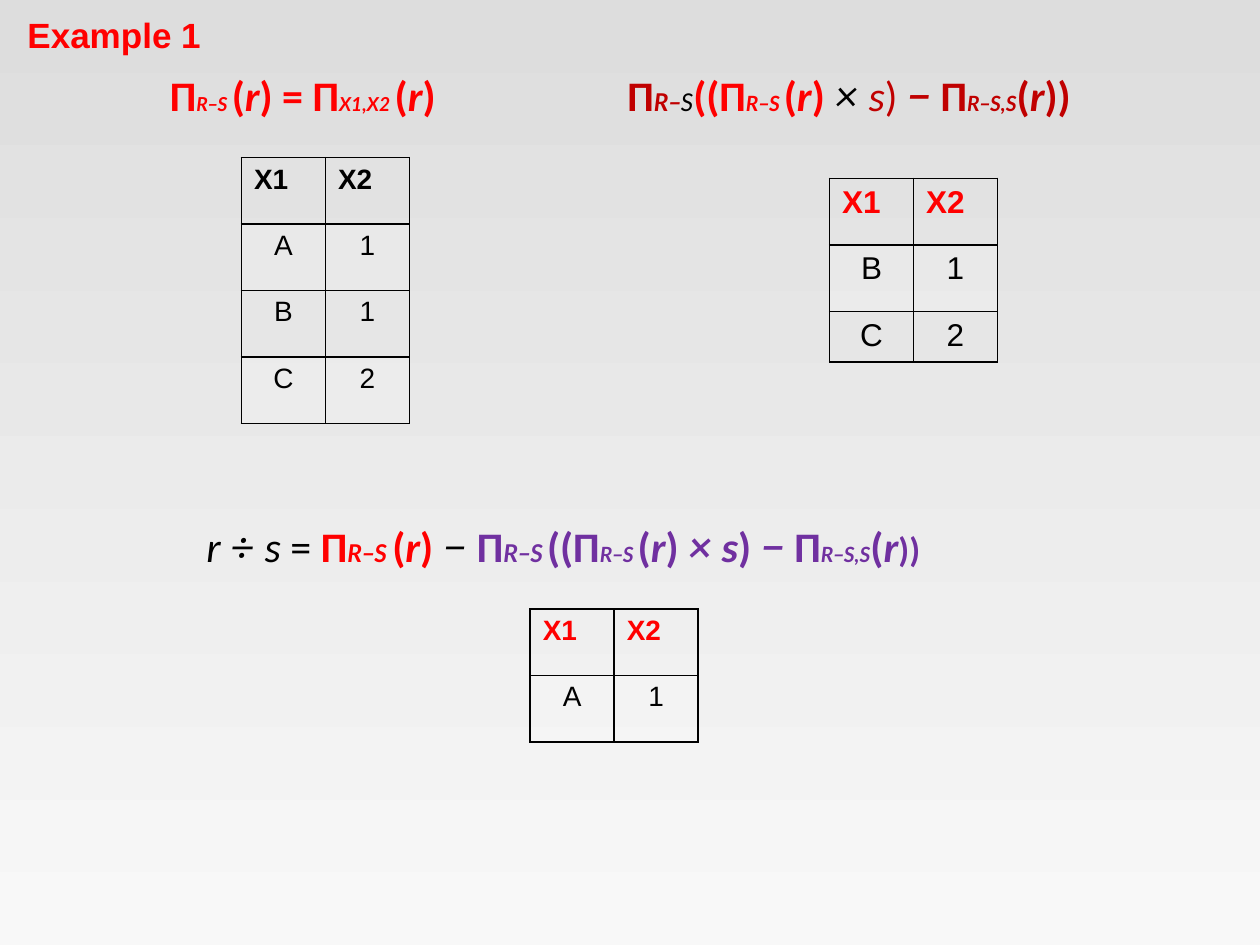
from lxml import etree
from pptx import Presentation
from pptx.dml.color import RGBColor
from pptx.enum.text import MSO_AUTO_SIZE, PP_ALIGN
from pptx.oxml.ns import qn
from pptx.util import Pt

CENTER = PP_ALIGN.CENTER
GROW = MSO_AUTO_SIZE.SHAPE_TO_FIT_TEXT

COLORS = {
    "black": "000000", "white": "FFFFFF", "red": "FF0000",
    "dark red": "C00000", "purple": "7030A0",
    "top": "DDDDDD", "bottom": "F8F8F8",
}
STYLES = {
    "plain": ("Calibri", False, False),
    "bold": ("Calibri", True, False),
    "italic": ("Calibri", False, True),
    "bold italic": ("Calibri", True, True),
    "light sign": ("Lato", False, True),
    "sign": ("Lato", True, True),
    "title": ("Arial", True, False),
}


def subscript(left, right, size, color):
    return [(left, "sign", size, color), ("−", "bold italic", size, color),
            (right, "sign", size, color)]


def relation(opening, closing, color, closing_size=24):
    return [(opening, "bold", 24, color), ("r", "bold italic", 24, color),
            (closing, "bold", closing_size, color)]


def gap(color):
    return [(" ", "sign", 10.5, color)]


TEXTS = [
    (8.6, 4.3, 114.5, 31.7, [("Example 1", "title", 20, "red")]),
    (90, 36, 193, 36, [
        ("Π", "bold", 24, "red"), *subscript("R", "S ", 11, "red"),
        *relation("(", ") = Π", "red"), ("X1,X2 ", "sign", 11, "red"),
        *relation("(", ")", "red"),
    ]),
    (351.4, 36, 314.6, 36.7, [
        ("Π", "bold", 24, "dark red"), ("R", "sign", 14, "dark red"),
        ("−", "bold italic", 14, "dark red"), ("S", "light sign", 14, "black"),
        ("((Π", "bold", 24, "red"), *subscript("R", "S", 12, "red"), *gap("red"),
        *relation("(", ") ", "red"), ("× ", "light sign", 24, "black"),
        ("s", "italic", 24, "dark red"), (") ", "plain", 24, "dark red"),
        ("− ", "sign", 24, "dark red"), ("Π", "bold", 24, "dark red"),
        *subscript("R", "S,S", 12, "dark red"), *relation("(", "))", "dark red"),
    ]),
    (110.9, 293.8, 488.9, 36.7, [
        ("r ", "italic", 24, "black"), ("÷ ", "light sign", 24, "black"),
        ("s ", "italic", 24, "black"), ("= ", "plain", 24, "black"),
        ("Π", "bold", 24, "red"), *subscript("R", "S ", 14, "red"),
        *relation("(", ") ", "red"), ("− ", "light sign", 24, "black"),
        ("Π", "bold", 24, "purple"), *subscript("R", "S", 14, "purple"),
        *gap("purple"), ("((Π", "bold", 24, "purple"),
        *subscript("R", "S", 12, "purple"), *gap("purple"),
        *relation("(", ") ", "purple"), ("× ", "sign", 24, "purple"),
        ("s", "bold italic", 24, "purple"), (") ", "bold", 24, "purple"),
        ("− ", "sign", 24, "purple"), ("Π", "bold", 24, "purple"),
        *subscript("R", "S,S", 12, "purple"), *relation("(", "))", "purple", 20),
    ]),
]

HEADER = ("X1", "X2")
COLUMN_WIDTH = 48
TABLES = [
    (138, 90, 16, "black", [38] * 4, [HEADER, ("A", "1"), ("B", "1"), ("C", "2")]),
    (474, 102, 18, "red", [38, 38, 28.8], [HEADER, ("B", "1"), ("C", "2")]),
    (303, 348, 16, "red", [38] * 2, [HEADER, ("A", "1")]),
]


def rgb(name):
    return RGBColor.from_string(COLORS[name])


def add_text(slide, left, top, width, height, runs):
    box = slide.shapes.add_textbox(Pt(left), Pt(top), Pt(width), Pt(height))
    frame = box.text_frame
    frame.word_wrap = False
    frame.auto_size = GROW
    for text, style, size, color in runs:
        run = frame.paragraphs[0].add_run()
        run.text = text
        run.font.name, run.font.bold, run.font.italic = STYLES[style]
        run.font.size = Pt(size)
        run.font.color.rgb = rgb(color)


def set_borders(cell):
    properties = cell._tc.get_or_add_tcPr()
    for index, side in enumerate(("a:lnL", "a:lnR", "a:lnT", "a:lnB")):
        line = etree.Element(qn(side), w=str(Pt(1)))
        fill = etree.SubElement(line, qn("a:solidFill"))
        etree.SubElement(fill, qn("a:srgbClr"), val=COLORS["black"])
        properties.insert(index, line)


def set_fill(cell, shaded):
    if not shaded:
        cell.fill.background()
        return
    cell.fill.solid()
    cell.fill.fore_color.rgb = rgb("white")
    color = cell._tc.tcPr.find(".//" + qn("a:solidFill") + "/" + qn("a:srgbClr"))
    etree.SubElement(color, qn("a:alpha"), val="20000")


def add_table(slide, left, top, size, header_color, heights, rows):
    columns = len(HEADER)
    table = slide.shapes.add_table(
        len(rows), columns, Pt(left), Pt(top),
        Pt(COLUMN_WIDTH * columns), Pt(sum(heights))).table
    table.first_row = False
    table.horz_banding = False
    for column in table.columns:
        column.width = Pt(COLUMN_WIDTH)
    for row_index, values in enumerate(rows):
        table.rows[row_index].height = Pt(heights[row_index])
        is_header = row_index == 0
        for column_index, value in enumerate(values):
            cell = table.cell(row_index, column_index)
            cell.text = value
            paragraph = cell.text_frame.paragraphs[0]
            if not is_header:
                paragraph.alignment = CENTER
            paragraph.font.name = "Arial"
            paragraph.font.size = Pt(size)
            paragraph.font.bold = is_header
            paragraph.font.color.rgb = rgb(header_color if is_header else "black")
            set_fill(cell, row_index % 2 == 1)
            set_borders(cell)


def main():
    presentation = Presentation()
    presentation.slide_width, presentation.slide_height = Pt(720), Pt(540)
    slide = presentation.slides.add_slide(presentation.slide_layouts[6])
    background = slide.background.fill
    background.gradient()
    background.gradient_angle = 270
    for stop, name in zip(background.gradient_stops, ("top", "bottom")):
        stop.color.rgb = rgb(name)
    for text in TEXTS:
        add_text(slide, *text)
    for table in TABLES:
        add_table(slide, *table)
    presentation.save("out.pptx")


if __name__ == "__main__":
    main()
